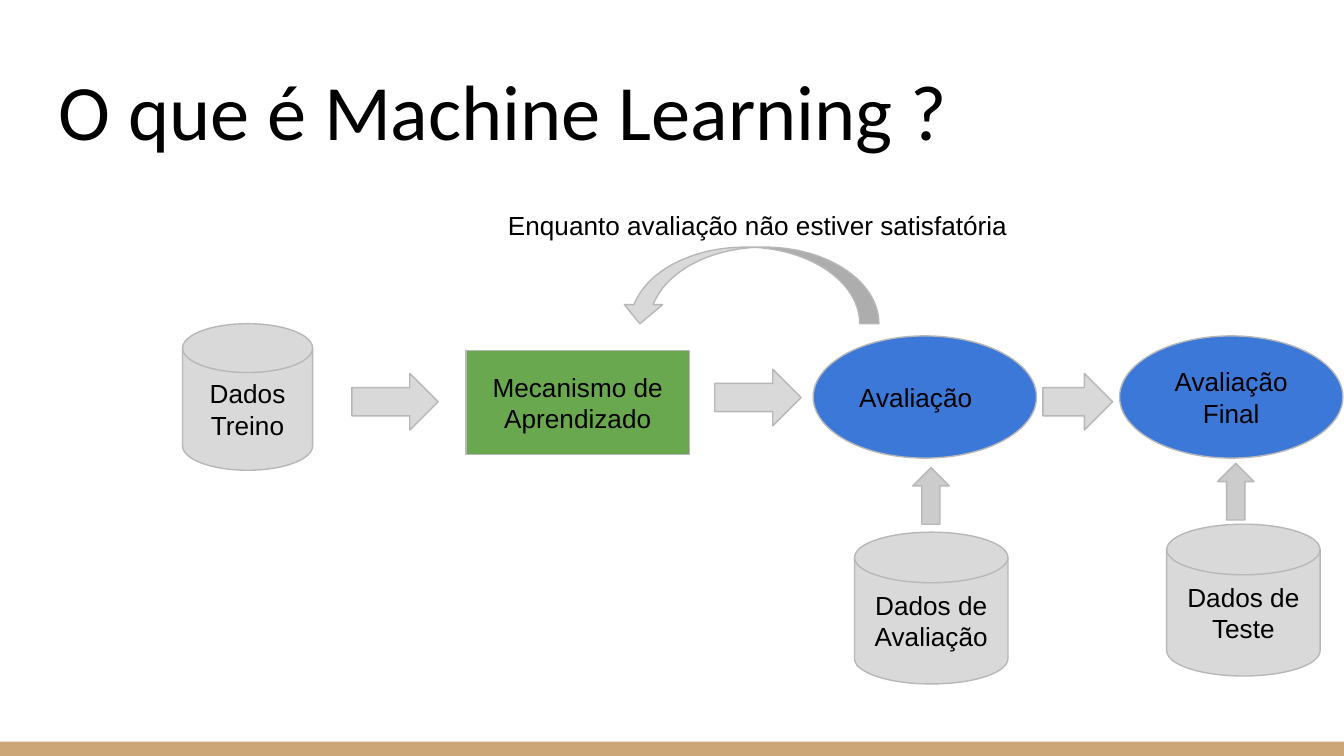
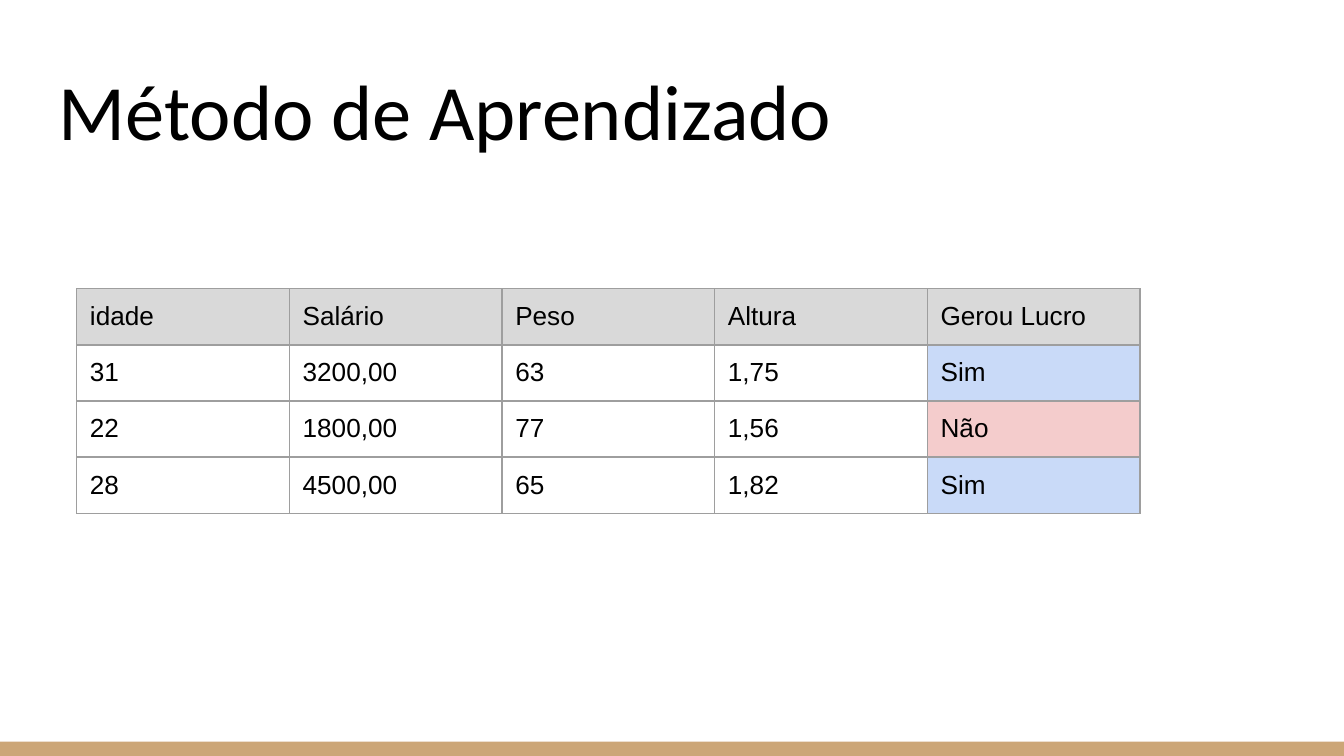
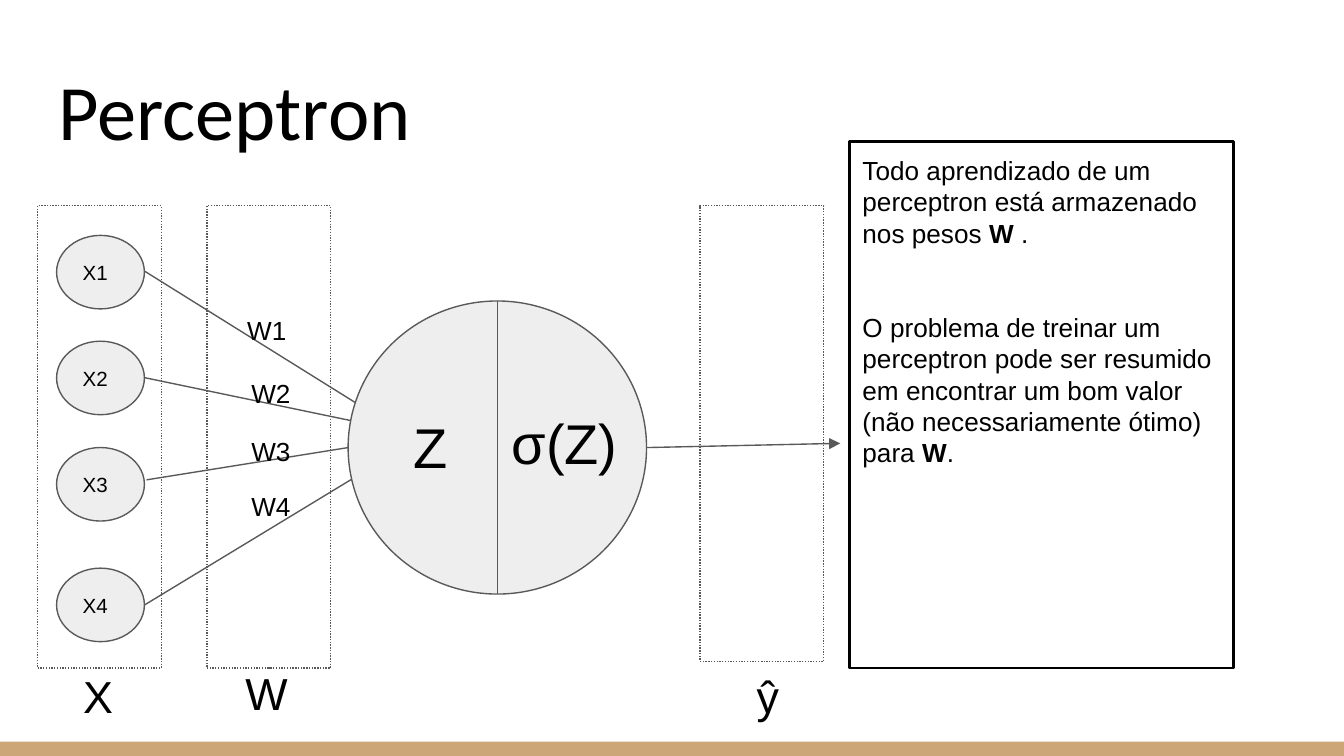
from dataclasses import dataclass

from lxml import etree
from pptx import Presentation
from pptx.dml.color import RGBColor
from pptx.enum.dml import MSO_LINE
from pptx.enum.shapes import MSO_CONNECTOR, MSO_SHAPE
from pptx.enum.text import MSO_ANCHOR, MSO_AUTO_SIZE, PP_ALIGN
from pptx.oxml.ns import qn
from pptx.util import Cm, Pt

LEFT, CENTER = PP_ALIGN.LEFT, PP_ALIGN.CENTER
TOP, MIDDLE, BOTTOM = MSO_ANCHOR.TOP, MSO_ANCHOR.MIDDLE, MSO_ANCHOR.BOTTOM
RECT, OVAL = MSO_SHAPE.RECTANGLE, MSO_SHAPE.OVAL
DISK = MSO_SHAPE.FLOWCHART_MAGNETIC_DISK
RIGHT_ARROW, UP_ARROW = MSO_SHAPE.RIGHT_ARROW, MSO_SHAPE.UP_ARROW
CURVED_ARROW = MSO_SHAPE.CURVED_UP_ARROW
STRAIGHT = MSO_CONNECTOR.STRAIGHT
NO_AUTOFIT = MSO_AUTO_SIZE.NONE
DOT = MSO_LINE.ROUND_DOT


@dataclass(frozen=True)
class Theme:
    title_font: str = "Calibri"
    body_font: str = "Arial"
    title: float = 42
    formula: float = 30
    symbol: float = 24
    body: float = 14
    node: float = 11
    thin: float = 0.75
    thick: float = 1.5
    paragraph_gap: float = 33.6
    inset: float = 0.25
    text: str = "000000"
    band: str = "CCA677"
    gray: str = "D9D9D9"
    arrow: str = "CCCCCC"
    outline: str = "B7B7B7"
    green: str = "6AA84F"
    blue: str = "3C78D8"
    grid: str = "9E9E9E"
    yes: str = "C9DAF8"
    no: str = "F4CCCC"
    neuron: str = "EEEEEE"
    wire: str = "595959"


T = Theme()


def rgb(color):
    return RGBColor.from_string(color)


def set_font(p, size, align=LEFT, name=T.body_font):
    p.alignment = align
    p.font.name = name
    p.font.size = Pt(size)
    p.font.color.rgb = rgb(T.text)


def set_frame(tf, anchor):
    tf.word_wrap = True
    tf.auto_size = NO_AUTOFIT
    tf.vertical_anchor = anchor
    tf.margin_left = tf.margin_right = Cm(T.inset)
    tf.margin_top = tf.margin_bottom = Cm(T.inset)


def write(sp, text, size=T.body, align=LEFT, anchor=TOP, font=T.body_font):
    tf = sp.text_frame
    set_frame(tf, anchor)
    tf.text = text
    for p in tf.paragraphs:
        set_font(p, size, align, font)


def add_box(s, kind, x, y, w, h, fill=None, line=T.outline, width=T.thin):
    sp = s.shapes.add_shape(kind, Cm(x), Cm(y), Cm(w), Cm(h))
    sp.shadow.inherit = False
    if fill:
        sp.fill.solid()
        sp.fill.fore_color.rgb = rgb(fill)
    else:
        sp.fill.background()
    if line:
        sp.line.color.rgb = rgb(line)
        sp.line.width = Pt(width)
    else:
        sp.line.fill.background()
    return sp


def add_text(s, text, x, y, w, h, size=T.body, align=LEFT):
    write(s.shapes.add_textbox(Cm(x), Cm(y), Cm(w), Cm(h)), text, size, align)


def add_wire(s, x1, y1, x2, y2, arrow=False):
    cx = s.shapes.add_connector(STRAIGHT, Cm(x1), Cm(y1), Cm(x2), Cm(y2))
    cx.line.color.rgb = rgb(T.wire)
    cx.line.width = Pt(T.thin)
    if arrow:
        ln = cx.element.spPr.find(qn("a:ln"))
        etree.SubElement(ln, qn("a:tailEnd"), type="triangle")
    etree.SubElement(cx.element.spPr, qn("a:effectLst"))


def add_band(s, layout):
    band = add_box(s, RECT, 0, 14.02, 25.4, 0.27, T.band, None)
    layout.shapes.element.append(band.element)


def add_title_slide(prs, layout, title):
    s = prs.slides.add_slide(layout)
    sp = s.shapes.title
    sp.left, sp.top, sp.width, sp.height = Cm(0.86), Cm(0.89), Cm(23.67), Cm(2.31)
    write(sp, title, T.title, anchor=BOTTOM, font=T.title_font)
    return s


def set_borders(cell):
    tc_pr = cell._tc.get_or_add_tcPr()
    for side in ("lnL", "lnR", "lnT", "lnB"):
        ln = etree.SubElement(tc_pr, qn(f"a:{side}"), w=str(Pt(T.thin)))
        fill = etree.SubElement(ln, qn("a:solidFill"))
        etree.SubElement(fill, qn("a:srgbClr"), val=T.grid)


def add_table(s, rows, fills, x, y, col_width, row_height):
    n_rows, n_cols = len(rows), len(rows[0])
    table = s.shapes.add_table(n_rows, n_cols, Cm(x), Cm(y), Cm(col_width * n_cols),
                               Cm(row_height * n_rows)).table
    table.first_row = table.horz_banding = False
    for col in table.columns:
        col.width = Cm(col_width)
    for i, values in enumerate(rows):
        table.rows[i].height = Cm(row_height)
        for j, value in enumerate(values):
            cell = table.cell(i, j)
            cell.text = value
            set_font(cell.text_frame.paragraphs[0], T.body)
            cell.margin_left = cell.margin_right = Cm(T.inset)
            cell.margin_top = cell.margin_bottom = Cm(T.inset)
            set_borders(cell)
            color = T.gray if i == 0 else fills.get(value)
            if color:
                cell.fill.solid()
                cell.fill.fore_color.rgb = rgb(color)
            else:
                cell.fill.background()


def add_note(s, paragraphs, x, y, w, h):
    tf = add_box(s, RECT, x, y, w, h, None, T.text, T.thick).text_frame
    set_frame(tf, TOP)
    for i, runs in enumerate(paragraphs):
        p = tf.add_paragraph() if i else tf.paragraphs[0]
        set_font(p, T.body)
        if i:
            p.space_before = Pt(T.paragraph_gap)
        for text, bold in runs:
            r = p.add_run()
            r.text = text
            r.font.bold = bold


def build_process(s):
    steps = [
        (DISK, "Dados\nTreino", CENTER, T.gray, 3.45, 6.12, 2.46, 2.77),
        (RECT, "Mecanismo de Aprendizado", CENTER, T.green, 8.81, 6.63, 4.22, 1.96),
        (OVAL, "Avaliação", LEFT, T.blue, 15.37, 6.35, 4.22, 2.31),
        (OVAL, "Avaliação\nFinal", CENTER, T.blue, 21.16, 6.35, 4.22, 2.31),
        (DISK, "Dados de\nAvaliação", CENTER, T.gray, 16.15, 10.06, 2.9, 2.87),
        (DISK, "Dados de\nTeste", CENTER, T.gray, 22.05, 9.91, 2.9, 2.87),
    ]
    for kind, text, align, fill, *place in steps:
        write(add_box(s, kind, *place, fill), text, align=align, anchor=MIDDLE)
    for x, y, w in ((6.65, 7.06, 1.63), (13.51, 6.98, 1.63), (19.71, 7.06, 1.32)):
        add_box(s, RIGHT_ARROW, x, y, w, 1.07, T.gray)
    for x, y in ((17.25, 8.84), (23.01, 8.76)):
        add_box(s, UP_ARROW, x, y, 0.69, 1.07, T.arrow)
    add_box(s, CURVED_ARROW, 11.73, 4.67, 4.88, 1.45, T.gray).rotation = 180
    add_text(s, "Enquanto avaliação não estiver satisfatória", 9.35, 3.71, 11.94, 0.74)


def build_method(s):
    rows = [
        ("idade", "Salário", "Peso", "Altura", "Gerou Lucro"),
        ("31", "3200,00", "63", "1,75", "Sim"),
        ("22", "1800,00", "77", "1,56", "Não"),
        ("28", "4500,00", "65", "1,82", "Sim"),
    ]
    add_table(s, rows, {"Sim": T.yes, "Não": T.no}, 1.45, 5.46, 4.02, 1.06)


def build_perceptron(s):
    for i, y in enumerate((4.45, 6.45, 8.46, 10.74), 1):
        node = add_box(s, OVAL, 1.07, y, 1.66, 1.39, T.neuron, T.wire)
        write(node, f"X{i}", T.node, anchor=MIDDLE)
    for ends in ((2.74, 5.13, 6.78, 7.65), (2.74, 7.14, 6.63, 7.95),
                 (2.77, 9.07, 6.58, 8.46), (2.74, 11.43, 6.71, 9.02)):
        add_wire(s, *ends)
    add_wire(s, 12.22, 8.46, 15.88, 8.38, arrow=True)
    for i, (x, y) in enumerate(((4.42, 5.69), (4.5, 6.88), (4.5, 7.98), (4.5, 9.02)), 1):
        add_text(s, f"W{i}", x, y, 1.5, 0.51)
    for symbol, x, h, text_x, text_y in (("X", 0.71, 8.74, 1.32, 12.4),
                                         ("W", 3.91, 8.74, 4.39, 12.34),
                                         ("ŷ", 13.23, 8.61, 14.05, 12.4)):
        add_box(s, RECT, x, 3.89, 2.34, h, None, T.wire).line.dash_style = DOT
        add_text(s, symbol, text_x, text_y, 1.07, 1.14, T.symbol)
    add_box(s, OVAL, 6.58, 5.69, 5.64, 5.54, T.neuron, T.wire)
    add_wire(s, 9.4, 5.69, 9.4, 11.23)
    add_text(s, "Z", 7.39, 7.54, 1.5, 1.98, T.formula, CENTER)
    add_text(s, "σ(Z)", 9.4, 7.47, 2.54, 1.98, T.formula, CENTER)
    add_note(s, [
        [("Todo aprendizado de um perceptron está armazenado nos pesos", False),
         (" W ", True), (".", False)],
        [("O problema de treinar um perceptron pode ser resumido em encontrar "
          "um bom valor (não necessariamente ótimo) para ", False),
         ("W", True), (".", False)],
    ], 16.05, 2.67, 7.26, 9.96)


def main():
    prs = Presentation()
    prs.slide_width, prs.slide_height = Cm(25.4), Cm(14.29)
    layout = prs.slide_layouts.get_by_name("Title Only")
    slides = (("O que é Machine Learning ?", build_process),
              ("Método de Aprendizado", build_method),
              ("Perceptron", build_perceptron))
    for title, build in slides:
        build(add_title_slide(prs, layout, title))
    add_band(prs.slides[0], layout)
    prs.save("out.pptx")


if __name__ == "__main__":
    main()
